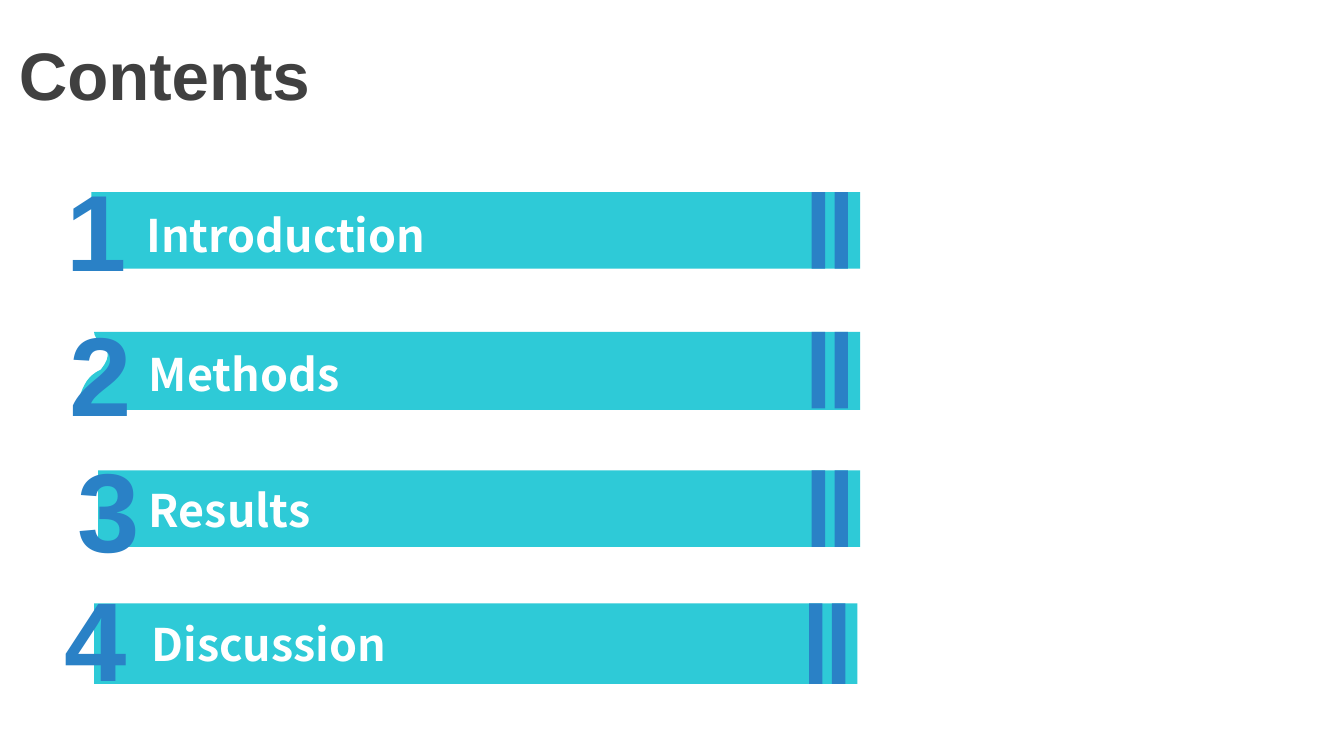
import pptx
import pptx.dml.color
import pptx.enum.shapes
import pptx.enum.text
import pptx.util
from dataclasses import dataclass

Inches = pptx.util.Inches
Align = pptx.enum.text.PP_ALIGN
Anchor = pptx.enum.text.MSO_ANCHOR


@dataclass(frozen=True)
class Theme:
    bar: str = "2ECAD7"
    accent: str = "2A81C6"
    title: str = "404040"
    label: str = "FFFFFF"
    latin_font: str = "Arial"
    label_font: str = "Noto Sans CJK KR"
    title_size: int = 36
    label_size: int = 24


theme = Theme()


def paint(shape, color):
    """Give a shape a flat fill with no line or shadow."""
    shape.shadow.inherit = False
    shape.fill.solid()
    shape.fill.fore_color.rgb = pptx.dml.color.RGBColor.from_string(color)
    shape.line.fill.background()


def write(shape, text, font, size, color, align=Align.LEFT, anchor=Anchor.TOP):
    """Write one bold run into a shape."""
    frame = shape.text_frame
    frame.word_wrap = True
    frame.vertical_anchor = anchor
    frame.paragraphs[0].alignment = align
    run = frame.paragraphs[0].add_run()
    run.text = text
    run.font.name = font
    run.font.size = pptx.util.Pt(size)
    run.font.bold = True
    run.font.color.rgb = pptx.dml.color.RGBColor.from_string(color)


prs = pptx.Presentation()
prs.slide_width = Inches(10)
prs.slide_height = Inches(10 * 9 / 16)
slide = prs.slides.add_slide(prs.slide_layouts[5])
shapes = slide.shapes
rectangle = pptx.enum.shapes.MSO_SHAPE.RECTANGLE

title = shapes.title
title.left, title.top = Inches(0.04), Inches(0.17)
title.width, title.height = Inches(10), Inches(0.75)
write(title, "Contents", theme.latin_font, theme.title_size, theme.title,
      anchor=Anchor.MIDDLE)

# name, bar (left, top, right, height), number (left, top, width, height, size),
# label (left, top)
sections = [
    ("Introduction", (0.68, 1.43, 6.4, 0.57), (0.4, 1.16, 0.41, 1.08, 58), (0.99, 1.5)),
    ("Methods", (0.7, 2.47, 6.4, 0.57), (0.42, 2.21, 0.48, 1.11, 60), (1.01, 2.53)),
    ("Results", (0.73, 3.5, 6.4, 0.57), (0.48, 3.22, 0.41, 1.11, 60), (1.01, 3.54)),
    ("Discussion", (0.7, 4.49, 6.38, 0.6), (0.38, 4.18, 0.49, 1.11, 60), (1.03, 4.54)),
]

# The second bar has a curved left edge that follows its numeral.
edge_curves = [
    [(0.55, 3.05), (0.61, 2.95), (0.6, 2.82), (0.75, 2.75)],
    [(0.75, 2.75), (0.89, 2.58), (0.7, 2.56), (0.7, 2.47)],
]
curve_steps = 12
curved_edge = []
for curve in edge_curves:
    for step in range(1, curve_steps + 1):
        t = step / curve_steps
        weights = ((1 - t) ** 3, 3 * t * (1 - t) ** 2, 3 * t ** 2 * (1 - t), t ** 3)
        curved_edge.append(tuple(
            Inches(sum(w * point[axis] for w, point in zip(weights, curve)))
            for axis in (0, 1)))

for number, (name, bar_box, number_box, label_at) in enumerate(sections, 1):
    left, top, right, height = bar_box
    if name == "Methods":
        outline = shapes.build_freeform(Inches(left), Inches(top))
        corners = [(right, top), (right, 3.05), (0.55, 3.05)]
        outline.add_line_segments(
            [(Inches(x), Inches(y)) for x, y in corners] + curved_edge, close=True)
        bar = outline.convert_to_shape()
    else:
        bar = shapes.add_shape(rectangle, Inches(left), Inches(top),
                               Inches(right - left), Inches(height))
    paint(bar, theme.bar)

    for offset in (0.19, 0.36):
        stripe = shapes.add_shape(rectangle, Inches(right - offset), Inches(top),
                                  Inches(0.1), Inches(height))
        paint(stripe, theme.accent)

    *number_place, number_size = number_box
    numeral = shapes.add_textbox(*map(Inches, number_place))
    write(numeral, str(number), theme.latin_font, number_size, theme.accent,
          Align.CENTER, Anchor.MIDDLE)

    label = shapes.add_textbox(*map(Inches, label_at), Inches(5.47), Inches(0.5))
    write(label, name, theme.label_font, theme.label_size, theme.label)

prs.save("out.pptx")
